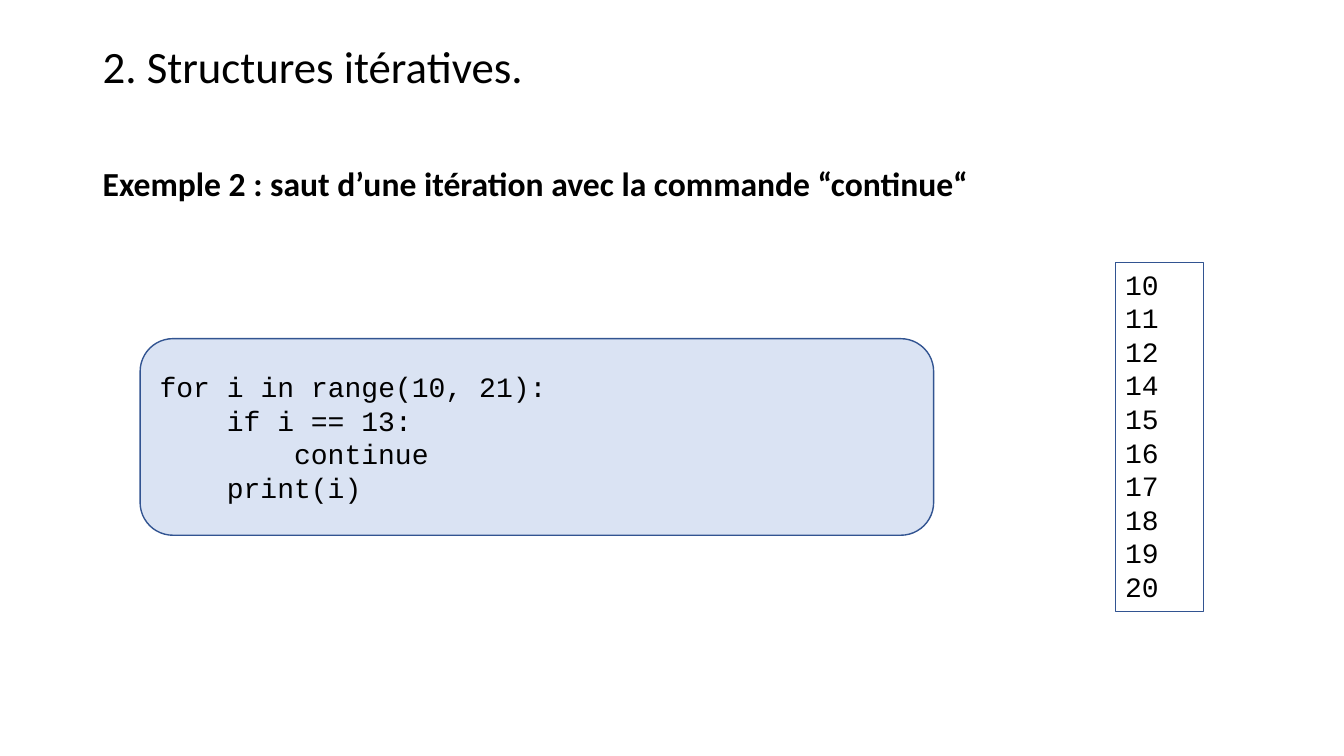
from pptx import Presentation
from pptx.dml.color import RGBColor
from pptx.enum.shapes import MSO_SHAPE
from pptx.enum.text import MSO_ANCHOR, PP_ALIGN
from pptx.util import Inches, Pt

# Content
TITLE = "2. Structures itératives."
SUBTITLE = "Exemple 2 : saut d’une itération avec la commande “continue“"
CODE = [  # (indent level, statement)
    (0, "for i in range(10, 21):"),
    (1, "if i == 13:"),
    (2, "continue"),
    (1, "print(i)"),
]
OUTPUT = [(0, str(i)) for i in range(10, 21) if i != 13]

THEME = {
    "text": RGBColor.from_string("000000"),
    "panel": RGBColor.from_string("DAE3F3"),
    "border": RGBColor.from_string("325491"),
    "body_font": "Calibri",
    "code_font": "Courier New",
    "title_size": 32,
    "subtitle_size": 24,
    "code_size": 20,
}

# Four characters, each 0.6 of the type size wide
INDENT = Pt(4 * 0.6 * THEME["code_size"])


def write_text(shape, lines, *, size, font, bold=False,
               anchor=MSO_ANCHOR.TOP, line_spacing=None):
    """Write (indent level, text) lines into a shape, one paragraph each."""
    frame = shape.text_frame
    frame.word_wrap = True
    frame.vertical_anchor = anchor
    for index, (level, text) in enumerate(lines):
        paragraph = frame.add_paragraph() if index else frame.paragraphs[0]
        paragraph.alignment = PP_ALIGN.LEFT
        if line_spacing:
            paragraph.line_spacing = line_spacing
        if level:
            properties = paragraph._p.get_or_add_pPr()
            properties.set("marL", str(level * INDENT))
            properties.set("indent", "0")
        run = paragraph.add_run()
        run.text = text
        run.font.name = font
        run.font.size = Pt(size)
        run.font.bold = bold
        run.font.color.rgb = THEME["text"]


def add_panel(slide, kind, box, *, line_width, fill=None):
    shape = slide.shapes.add_shape(kind, *map(Inches, box))
    shape.shadow.inherit = False
    if fill is None:
        shape.fill.background()
    else:
        shape.fill.solid()
        shape.fill.fore_color.rgb = fill
    shape.line.color.rgb = THEME["border"]
    shape.line.width = Pt(line_width)
    return shape


def main():
    presentation = Presentation()
    presentation.slide_width = Inches(13.33)
    presentation.slide_height = Inches(7.5)
    slide = presentation.slides.add_slide(presentation.slide_layouts[6])

    # Headings
    title = slide.shapes.add_textbox(*map(Inches, (0.92, 0.4, 11.5, 0.63)))
    write_text(title, [(0, TITLE)], size=THEME["title_size"],
               font=THEME["body_font"], line_spacing=0.9)
    subtitle = slide.shapes.add_textbox(*map(Inches, (0.92, 1.57, 11.5, 0.5)))
    write_text(subtitle, [(0, SUBTITLE)], size=THEME["subtitle_size"],
               font=THEME["body_font"], bold=True)

    # Code panel
    code = add_panel(slide, MSO_SHAPE.ROUNDED_RECTANGLE,
                     (1.39, 3.36, 7.87, 1.95),
                     line_width=1, fill=THEME["panel"])
    write_text(code, CODE, size=THEME["code_size"], font=THEME["code_font"],
               anchor=MSO_ANCHOR.MIDDLE)

    # Printed output
    output = add_panel(slide, MSO_SHAPE.RECTANGLE, (11.06, 2.6, 0.88, 3.47),
                       line_width=0.75)
    write_text(output, OUTPUT, size=THEME["code_size"],
               font=THEME["code_font"])

    presentation.save("out.pptx")


if __name__ == "__main__":
    main()
